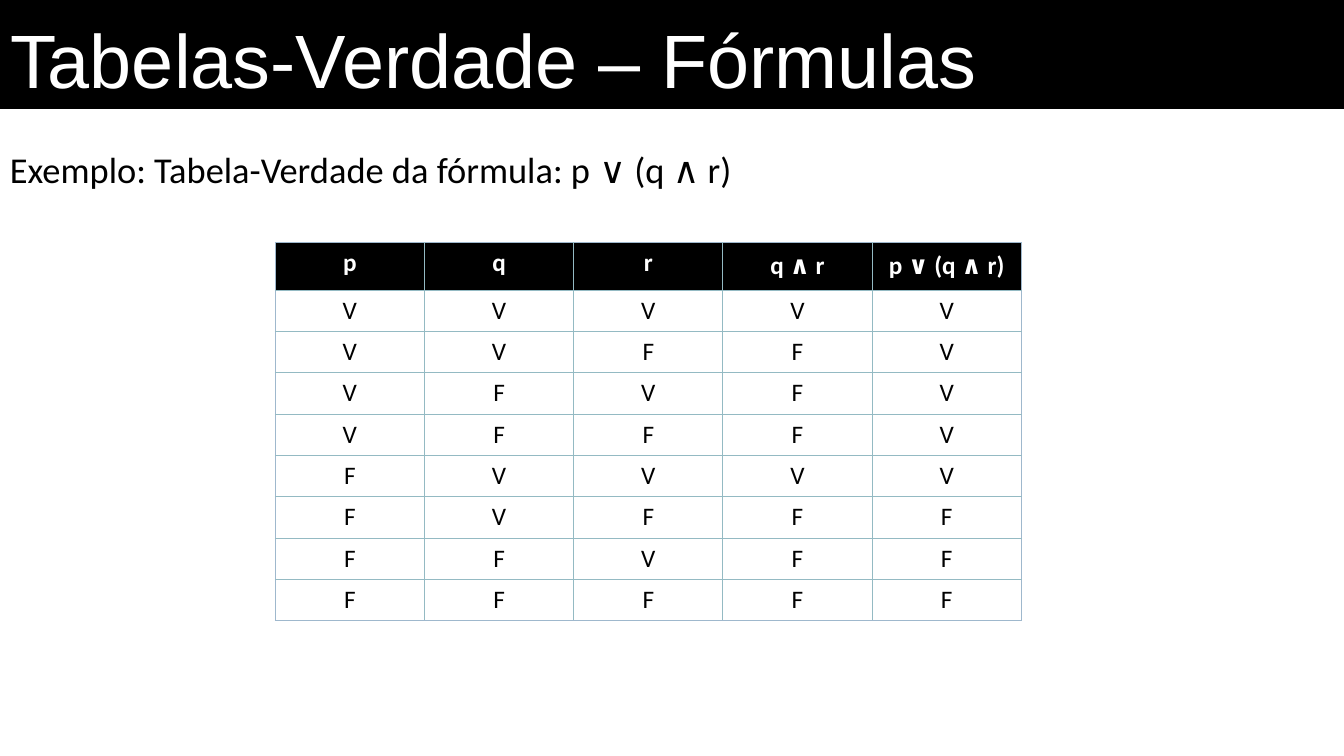
"""Build a slide with the truth table of a propositional formula."""
from itertools import groupby, product

from lxml import etree
from pptx import Presentation, util as u
from pptx.dml import color
from pptx.enum import text
from pptx.oxml import ns

WIDE = 13.33


def paint(code):
    return color.RGBColor.from_string(code)


class Page:
    black, white = "000000", "FFFFFF"
    inner, outer = ("94BAC3", 0.96), ("9FB8CD", 0.75)
    body, signs = "Calibri", "Noto Sans"

    def __init__(self, deck):
        self.slide = deck.slides.add_slide(deck.slide_layouts[5])

    def place(self, shape, left, top, width, height):
        shape.left, shape.top = u.Inches(left), u.Inches(top)
        shape.width, shape.height = u.Inches(width), u.Inches(height)

    def letter(self, para, words, size, ink, bold=False, face=None):
        for sign, part in groupby(words, lambda char: char in "∨∧"):
            run = para.add_run()
            run.text = "".join(part)
            font = run.font
            font.name = face or (self.signs if sign else self.body)
            font.size, font.bold = u.Pt(size), bold
            font.color.rgb = paint(ink)

    def title(self, words, height):
        band = self.slide.shapes.title
        self.place(band, 0, 0, WIDE, height)
        band.fill.solid()
        band.fill.fore_color.rgb = paint(self.black)
        frame = band.text_frame
        frame.auto_size = text.MSO_AUTO_SIZE.NONE
        frame.word_wrap = True
        frame.vertical_anchor = text.MSO_ANCHOR.BOTTOM
        para = frame.paragraphs[0]
        para.alignment = text.PP_ALIGN.LEFT
        self.letter(para, words, 54, self.white, face="Arial")

    def label(self, words, left, top, width, height):
        box = self.slide.shapes.add_textbox(
            u.Inches(left), u.Inches(top), u.Inches(width), u.Inches(height))
        box.text_frame.word_wrap = True
        self.letter(box.text_frame.paragraphs[0], words, 26, self.black)

    def edge(self, cell, side, style):
        tint, width = style
        props = cell._tc.get_or_add_tcPr()
        line = etree.SubElement(props, ns.qn("a:ln" + side), w=str(u.Pt(width)))
        fill = etree.SubElement(line, ns.qn("a:solidFill"))
        etree.SubElement(fill, ns.qn("a:srgbClr"), val=tint)

    def table(self, rows, left, top, width, head, high):
        tall, wide = len(rows), len(rows[0])
        grid = self.slide.shapes.add_table(
            tall, wide, u.Inches(left), u.Inches(top),
            u.Inches(width * wide), u.Inches(head + high * (tall - 1))).table
        for col in grid.columns:
            col.width = u.Inches(width)
        for r, row in enumerate(rows):
            grid.rows[r].height = u.Inches(high if r else head)
            for c, words in enumerate(row):
                cell = grid.cell(r, c)
                ends = {"L": c == 0, "R": c == wide - 1,
                        "T": r == 0, "B": r == tall - 1}
                for side, end in ends.items():
                    self.edge(cell, side, self.outer if end else self.inner)
                if r:
                    cell.fill.background()
                else:
                    cell.fill.solid()
                    cell.fill.fore_color.rgb = paint(self.black)
                para = cell.text_frame.paragraphs[0]
                para.alignment = text.PP_ALIGN.CENTER
                ink = self.black if r else self.white
                self.letter(para, words, 18, ink, bold=r == 0)


def main():
    deck = Presentation()
    deck.slide_width, deck.slide_height = u.Inches(WIDE), u.Inches(7.5)
    page = Page(deck)
    page.title("Tabelas-Verdade – Fórmulas", 1.08)
    page.label("Exemplo: Tabela-Verdade da fórmula: p ∨ (q ∧ r)",
               0, 1.41, WIDE, 0.84)
    rows = [["p", "q", "r", "q ∧ r", "p ∨ (q ∧ r)"]]
    for p, q, r in product((True, False), repeat=3):
        facts = (p, q, r, q and r, p or (q and r))
        rows.append(["V" if fact else "F" for fact in facts])
    page.table(rows, 2.73, 2.41, 1.48, 0.47, 0.41)
    deck.save("out.pptx")


if __name__ == "__main__":
    main()
